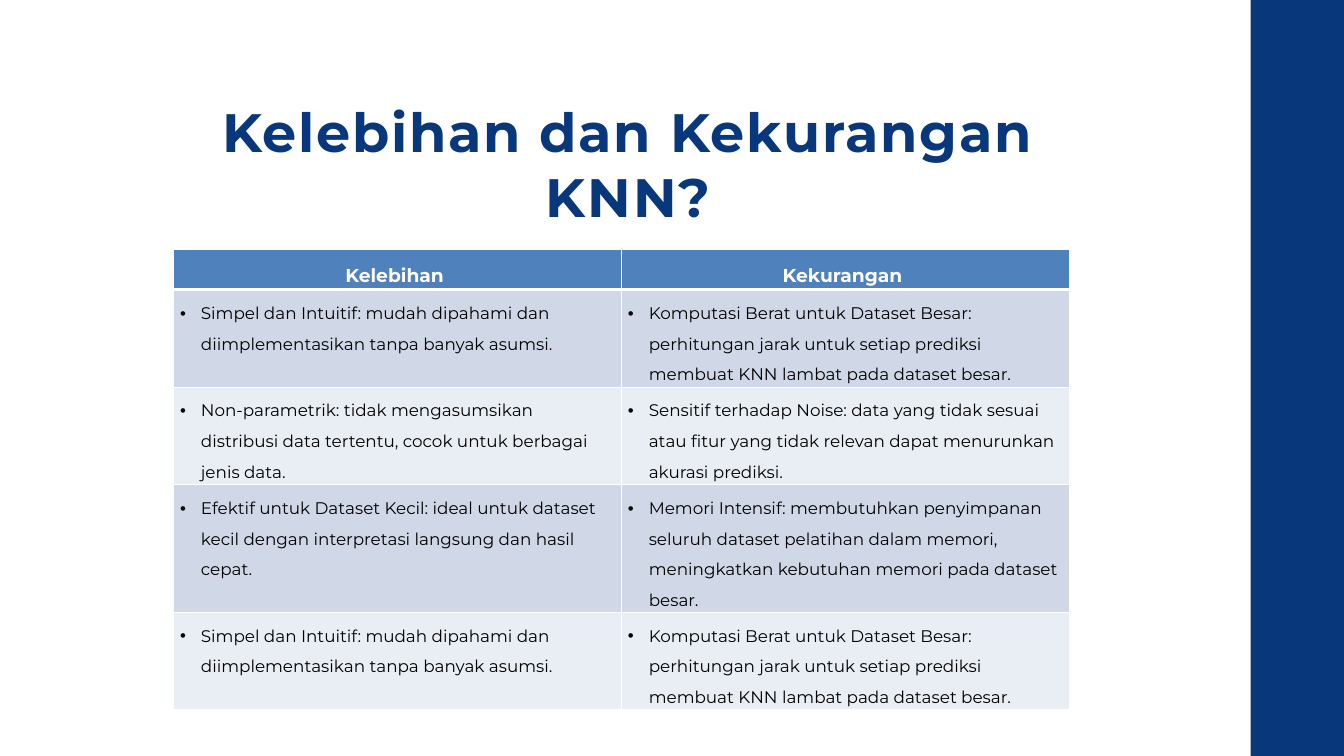
import pptx
import pptx.dml.color
import pptx.enum.shapes
import pptx.enum.text
import pptx.oxml
import pptx.oxml.ns
import pptx.util
from pptx.util import Inches

RGBColor = pptx.dml.color.RGBColor
NAVY = RGBColor(0x08, 0x37, 0x7C)
HEADER_BLUE = RGBColor(0x4F, 0x81, 0xBD)
BAND_DARK = RGBColor(0xD0, 0xD8, 0xE8)
BAND_LIGHT = RGBColor(0xE9, 0xED, 0xF4)
WHITE = RGBColor(0xFF, 0xFF, 0xFF)
BLACK = RGBColor(0x00, 0x00, 0x00)

SIMPLE = "Simpel dan Intuitif: mudah dipahami dan diimplementasikan tanpa banyak asumsi."
HEAVY = (
    "Komputasi Berat untuk Dataset Besar: perhitungan jarak untuk setiap prediksi "
    "membuat KNN lambat pada dataset besar."
)
HEADERS = ("Kelebihan ", "Kekurangan ")
COMPARISON = (
    (SIMPLE, HEAVY),
    (
        "Non-parametrik: tidak mengasumsikan distribusi data tertentu, "
        "cocok untuk berbagai jenis data.",
        "Sensitif terhadap Noise: data yang tidak sesuai atau fitur yang tidak relevan "
        "dapat menurunkan akurasi prediksi.",
    ),
    (
        "Efektif untuk Dataset Kecil: ideal untuk dataset kecil dengan interpretasi "
        "langsung dan hasil cepat.",
        "Memori Intensif: membutuhkan penyimpanan seluruh dataset pelatihan dalam memori, "
        "meningkatkan kebutuhan memori pada dataset besar.",
    ),
    (SIMPLE, HEAVY),
)


class SlideBuilder:
    font_name = "Montserrat"
    bullet_indent = Inches(0.31)

    def __init__(self, page):
        self.page = page

    def style(self, paragraph, size, color, bold=False):
        for span in paragraph.runs:
            span.font.name = self.font_name
            span.font.size = pptx.util.Pt(size)
            span.font.bold = bold
            span.font.color.rgb = color

    def band(self, left, top, width, height, color):
        shape = self.page.shapes.add_shape(
            pptx.enum.shapes.MSO_SHAPE.RECTANGLE, left, top, width, height
        )
        shape.shadow.inherit = False
        shape.fill.solid()
        shape.fill.fore_color.rgb = color
        shape.line.fill.background()

    def title(self, text, left, top, width, height):
        box = self.page.shapes.title
        box.left, box.top, box.width, box.height = left, top, width, height
        frame = box.text_frame
        frame.text = text
        frame.word_wrap = True
        frame.auto_size = pptx.enum.text.MSO_AUTO_SIZE.SHAPE_TO_FIT_TEXT
        frame.vertical_anchor = pptx.enum.text.MSO_ANCHOR.TOP
        frame.margin_left = frame.margin_right = 0
        frame.margin_top = frame.margin_bottom = 0
        paragraph = frame.paragraphs[0]
        paragraph.alignment = pptx.enum.text.PP_ALIGN.CENTER
        paragraph.line_spacing = pptx.util.Pt(69.5)
        self.style(paragraph, 57.9, NAVY, bold=True)
        for span in paragraph.runs:
            span.font._element.set("spc", "190")

    def table(self, headers, rows, left, top, width, row_height):
        count = len(rows) + 1
        table = self.page.shapes.add_table(
            count, len(headers), left, top, width, row_height * count
        ).table
        for column, text in enumerate(headers):
            cell = table.cell(0, column)
            paragraph = self.cell(cell, text, HEADER_BLUE, bottom=3)
            paragraph.alignment = pptx.enum.text.PP_ALIGN.CENTER
            self.style(paragraph, 20, WHITE, bold=True)
        for row, texts in enumerate(rows, start=1):
            fill = BAND_DARK if row % 2 else BAND_LIGHT
            for column, text in enumerate(texts):
                cell = table.cell(row, column)
                paragraph = self.cell(cell, text, fill, top=3 if row == 1 else 1)
                self.bullet(paragraph)
                self.style(paragraph, 18, BLACK)

    def cell(self, cell, text, fill, top=1, bottom=1):
        """Fill and border a cell; top and bottom are line widths in points."""
        properties = cell._tc.get_or_add_tcPr()
        for side, points in (("L", 1), ("R", 1), ("T", top), ("B", bottom)):
            properties.append(pptx.oxml.parse_xml(
                f'<a:ln{side} {pptx.oxml.ns.nsdecls("a")} w="{pptx.util.Pt(points)}">'
                f'<a:solidFill><a:srgbClr val="{WHITE}"/></a:solidFill></a:ln{side}>'
            ))
        cell.fill.solid()
        cell.fill.fore_color.rgb = fill
        cell.text_frame.text = text
        paragraph = cell.text_frame.paragraphs[0]
        paragraph.line_spacing = 1.5
        return paragraph

    def bullet(self, paragraph):
        properties = paragraph._p.get_or_add_pPr()
        properties.set("marL", str(self.bullet_indent))
        properties.set("indent", str(-self.bullet_indent))
        for tag in ('buFont typeface="Arial"', 'buChar char="•"'):
            properties.append(
                pptx.oxml.parse_xml(f'<a:{tag} {pptx.oxml.ns.nsdecls("a")}/>')
            )


def main():
    deck = pptx.Presentation()
    deck.slide_width, deck.slide_height = Inches(20), Inches(11.25)
    title_only = deck.slide_layouts[5]
    builder = SlideBuilder(deck.slides.add_slide(title_only))
    builder.band(Inches(18.61), 0, Inches(1.39), deck.slide_height, NAVY)
    builder.title(
        "Kelebihan dan Kekurangan KNN?",
        Inches(3.08), Inches(1.46), Inches(12.54), Inches(1.96),
    )
    builder.table(
        HEADERS, COMPARISON, Inches(2.58), Inches(3.71), Inches(13.33), Inches(0.41)
    )
    deck.save("out.pptx")


if __name__ == "__main__":
    main()
